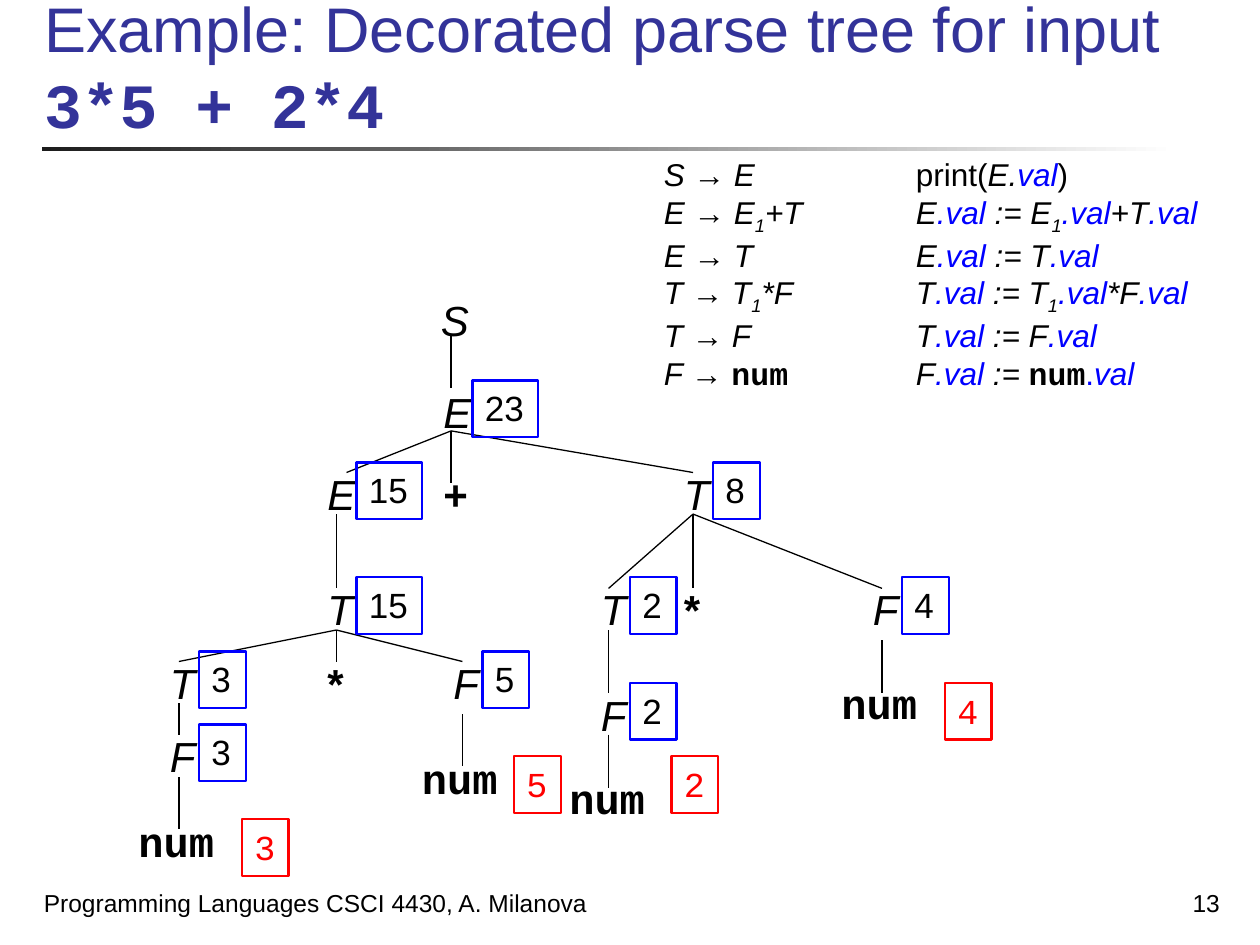
from lxml.etree import SubElement
from pptx import Presentation
from pptx.dml.color import RGBColor
from pptx.enum.dml import MSO_THEME_COLOR
from pptx.enum.shapes import MSO_CONNECTOR, MSO_SHAPE
from pptx.enum.text import MSO_ANCHOR, MSO_AUTO_SIZE, PP_ALIGN
from pptx.oxml.ns import qn
from pptx.util import Inches, Pt

COLORS = {"title": "333399", "text": "000000", "attribute": "0000FF",
          "lexeme": "FF0000", "rule": "1C1C1C", "white": "FFFFFF"}
SANS, MONO = "Arial", "Courier New"

# Parse tree: left, top, symbol, value
NODES = [
    (3.40, 2.29, "S", None), (3.42, 3.02, "E", "23"),
    (2.50, 3.67, "E", "15"), (3.42, 3.67, "+", None), (5.33, 3.67, "T", "8"),
    (2.50, 4.58, "T", "15"), (4.67, 4.58, "T", "2"),
    (5.33, 4.58, "*", None), (6.83, 4.58, "F", "4"),
    (1.25, 5.17, "T", "3"), (2.50, 5.17, "*", None), (3.50, 5.17, "F", "5"),
    (4.67, 5.42, "F", "2"), (1.25, 5.75, "F", "3"),
]
# Tokens: left, top, value, value left, value top
TOKENS = [(1.00, 6.42, "3", 1.92, 6.50), (3.25, 5.92, "5", 4.08, 6.00),
          (4.42, 6.08, "2", 5.33, 6.00), (6.58, 5.33, "4", 7.50, 5.42)]
# Branches: parent point, then the points of its children
BRANCHES = [
    ((3.58, 2.67), [(3.58, 3.08)]),
    ((3.58, 3.42), [(2.75, 3.75), (3.58, 3.83), (5.50, 3.75)]),
    ((2.67, 4.08), [(2.67, 4.67)]),
    ((5.50, 4.08), [(4.83, 4.67), (5.50, 4.67), (7.00, 4.67)]),
    ((2.67, 5.00), [(1.42, 5.25), (2.67, 5.25), (3.67, 5.25)]),
    ((4.83, 5.00), [(4.83, 5.50)]),
    ((7.00, 5.08), [(7.00, 5.50)]),
    ((1.42, 5.58), [(1.42, 5.83)]),
    ((3.67, 5.67), [(3.67, 6.08)]),
    ((4.83, 5.83), [(4.83, 6.25)]),
    ((1.42, 6.17), [(1.42, 6.58)]),
]
# Grammar runs: text and style (i italic, v attribute, s subscript, n token,
# d upright attribute, empty for plain)
VAL = (".val", "v")
RULES = [
    [("S → E", "i"), ("\tprint(", ""), ("E.", "i"), ("val", "v"), (")", "")],
    [("E → E", "i"), ("1", "s"), ("+T\tE", "i"), VAL, (" := E", "i"),
     ("1", "s"), VAL, ("+T", "i"), VAL],
    [("E → T\tE", "i"), VAL, (" := T", "i"), VAL],
    [("T → T", "i"), ("1", "s"), ("*F\tT", "i"), VAL, (" := T", "i"),
     ("1", "s"), VAL, ("*F", "i"), VAL],
    [("T → F\tT", "i"), VAL, (" := F", "i"), VAL],
    [("F → ", "i"), ("num", "n"), ("\tF", "i"), VAL, (" := ", "i"),
     ("num", "n"), (".", "d"), ("val", "v")],
]


def rgb(name):
    return RGBColor.from_string(COLORS[name])


def set_font(font, size, color="text", name=SANS, bold=False, italic=False):
    font.size, font.name, font.bold, font.italic = Pt(size), name, bold, italic
    font.color.rgb = rgb(color)


def add_label(slide, box, text, size, align=PP_ALIGN.LEFT,
              anchor=MSO_ANCHOR.TOP, wrap=False, **style):
    shape = slide.shapes.add_textbox(*map(Inches, box))
    frame = shape.text_frame
    frame.word_wrap = wrap
    frame.auto_size = MSO_AUTO_SIZE.NONE if wrap else MSO_AUTO_SIZE.SHAPE_TO_FIT_TEXT
    frame.vertical_anchor = anchor
    paragraph = frame.paragraphs[0]
    paragraph.text, paragraph.alignment = text, align
    set_font(paragraph.font, size, **style)
    return shape


def add_value(slide, left, top, value, outline, **style):
    box = (left, top, 0.22 + 0.15 * len(value), 0.45)
    shape = add_label(slide, box, value, 20, **style)
    shape.line.color.rgb = rgb(outline)
    shape.line.width = Pt(1.25)


def add_branch(slide, start, end):
    points = map(Inches, (*start, *end))
    branch = slide.shapes.add_connector(MSO_CONNECTOR.STRAIGHT, *points)
    branch.line.color.rgb = rgb("text")
    branch.line.width = Pt(0.75)
    SubElement(branch._element.spPr, qn("a:effectLst"))


def add_title(slide, left, top, width, height):
    title = slide.shapes.title
    title.left, title.top = Inches(left), Inches(top)
    title.width, title.height = Inches(width), Inches(height)
    frame = title.text_frame
    frame.auto_size = MSO_AUTO_SIZE.NONE
    frame.vertical_anchor = MSO_ANCHOR.BOTTOM
    paragraph = frame.paragraphs[0]
    paragraph.alignment = PP_ALIGN.LEFT
    for text, name, bold in (("Example: Decorated parse tree for input ", SANS, False),
                             ("3*5 + 2*4", MONO, True)):
        run = paragraph.add_run()
        run.text = text
        set_font(run.font, 36, "title", name, bold)


def add_title_rule(slide, *box):
    bar = slide.shapes.add_shape(MSO_SHAPE.RECTANGLE, *map(Inches, box))
    bar.shadow.inherit = False
    bar.line.fill.background()
    bar.fill.gradient()
    bar.fill.gradient_angle = 0
    for stop, position, color in zip(bar.fill.gradient_stops, (0, 1), ("rule", "white")):
        stop.position = position
        stop.color.rgb = rgb(color)


def add_grammar(slide, *box):
    frame = slide.shapes.add_textbox(*map(Inches, box)).text_frame
    frame.word_wrap = True
    for index, rule in enumerate(RULES):
        paragraph = frame.paragraphs[0] if index == 0 else frame.add_paragraph()
        tabs = SubElement(paragraph._p.get_or_add_pPr(), qn("a:tabLst"))
        for position in (1, 3):
            SubElement(tabs, qn("a:tab"), pos=str(Inches(position)), algn="l")
        for text, style in [("\t", "")] + rule:
            run = paragraph.add_run()
            run.text = text
            set_font(run.font, 18, "attribute" if style in ("v", "d") else "text",
                     MONO if style == "n" else SANS,
                     bold=style == "n", italic=style in ("i", "v", "s"))
            if style == "s":
                run.font._element.set("baseline", "-25000")


def add_parse_tree(slide):
    for parent, children in BRANCHES:
        for child in children:
            add_branch(slide, parent, child)
    for left, top, symbol, value in NODES:
        letter = symbol.isalpha()
        add_label(slide, (left, top, 0.5 if letter else 0.36, 0.51), symbol, 24,
                  italic=letter, bold=not letter)
        if value:
            add_value(slide, left + 0.33, top, value, "attribute")
    for left, top, value, value_left, value_top in TOKENS:
        add_label(slide, (left, top, 0.82, 0.51), "num", 24, name=MONO, bold=True)
        add_value(slide, value_left, value_top, value, "lexeme",
                  color="lexeme", name=MONO)


def add_footer(slide, top, height):
    add_label(slide, (0.25, top, 5.17, height), "Programming Languages CSCI 4430, A. Milanova",
              14, anchor=MSO_ANCHOR.BOTTOM, wrap=True)
    add_label(slide, (7.7, top, 2.08, height), "13", 14, align=PP_ALIGN.RIGHT,
              anchor=MSO_ANCHOR.BOTTOM, wrap=True)


def main():
    presentation = Presentation()
    presentation.slide_width, presentation.slide_height = Inches(10), Inches(7.5)
    slide = presentation.slides.add_slide(presentation.slide_layouts[5])
    add_title_rule(slide, 0.33, 1.17, 9, 0.03)
    add_title(slide, 0.25, 0.07, 9.52, 1.1)
    add_parse_tree(slide)
    add_grammar(slide, 4.17, 1.18, 5.75, 1.9)
    add_footer(slide, 6.83, 0.5)
    presentation.save("out.pptx")


if __name__ == "__main__":
    main()
